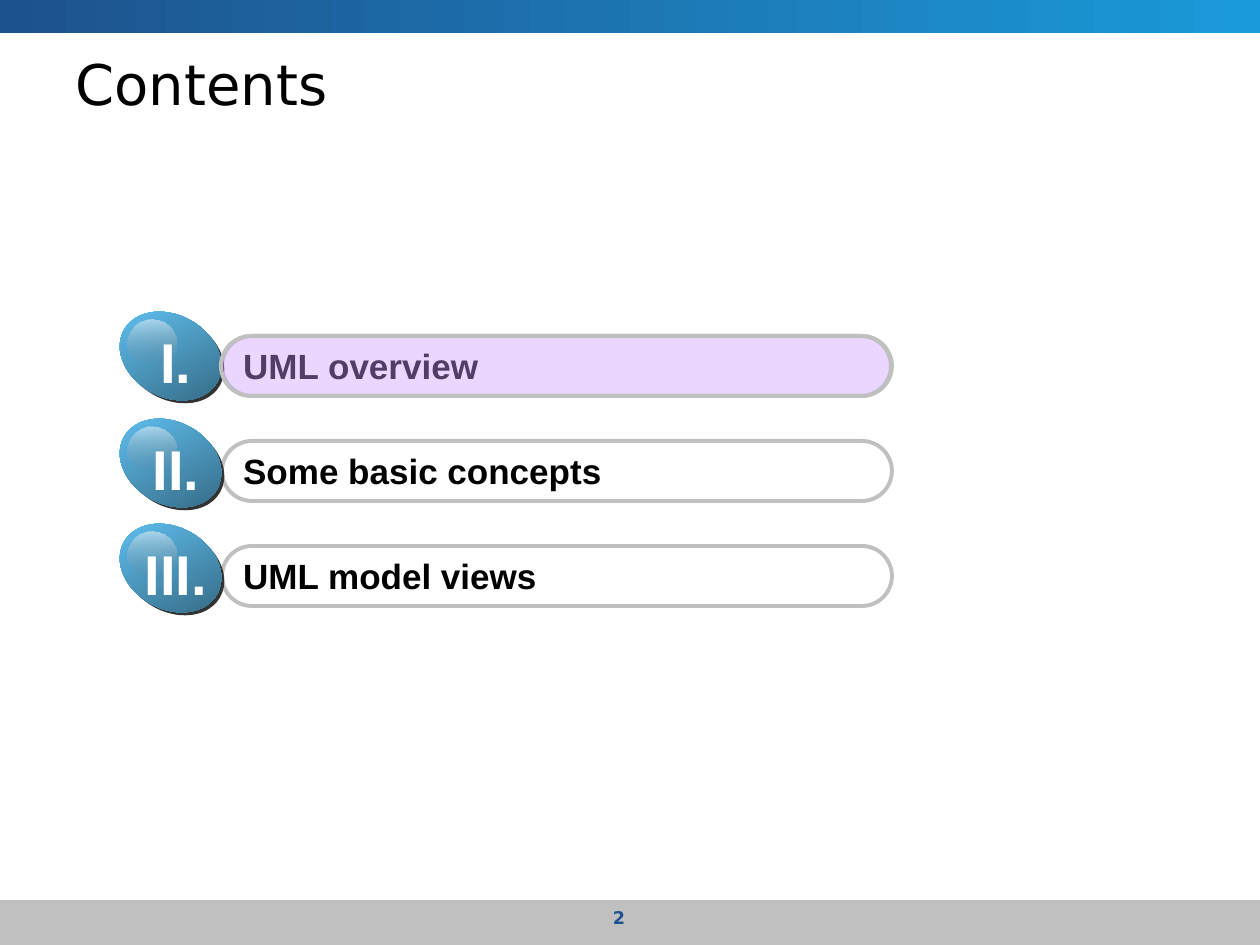
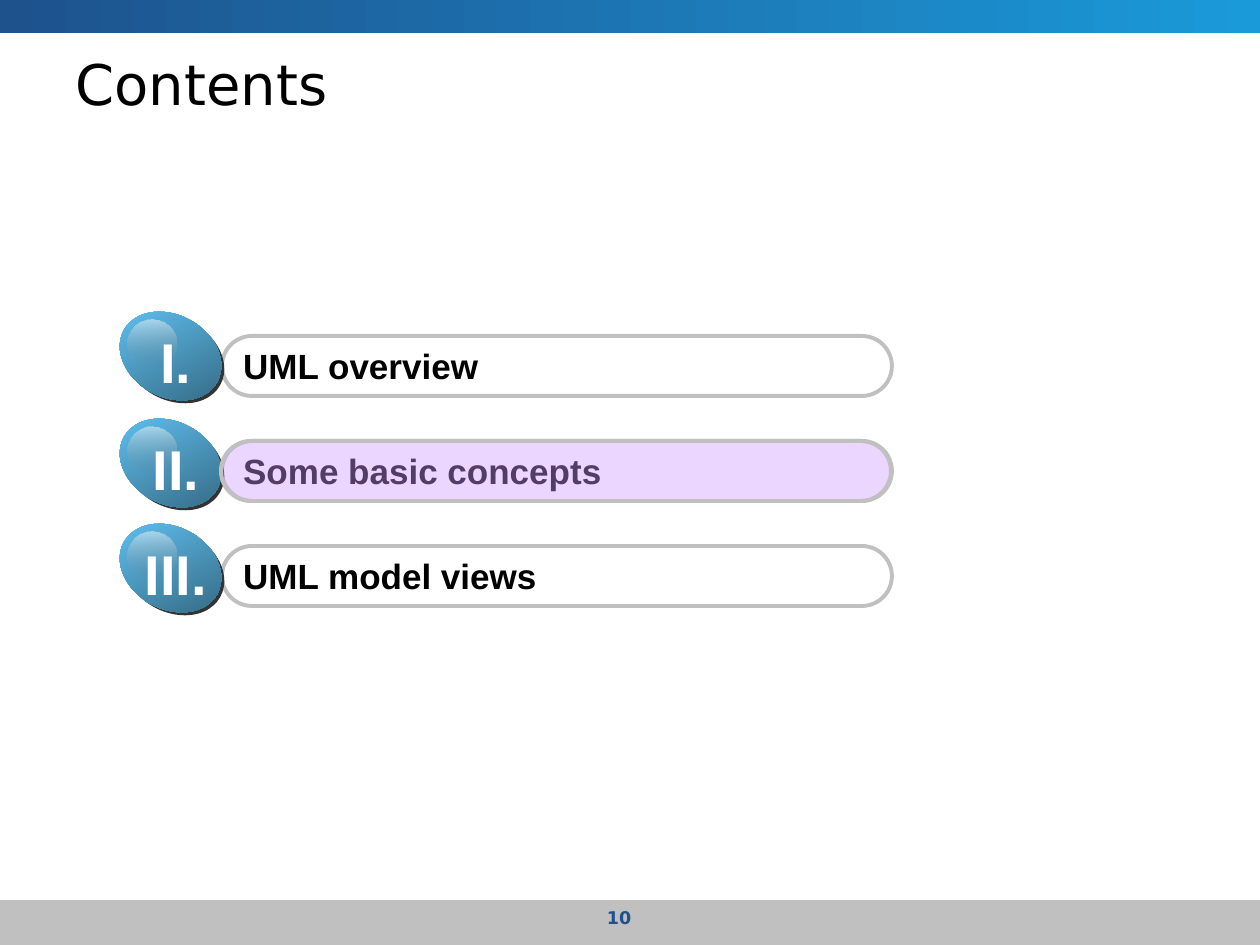
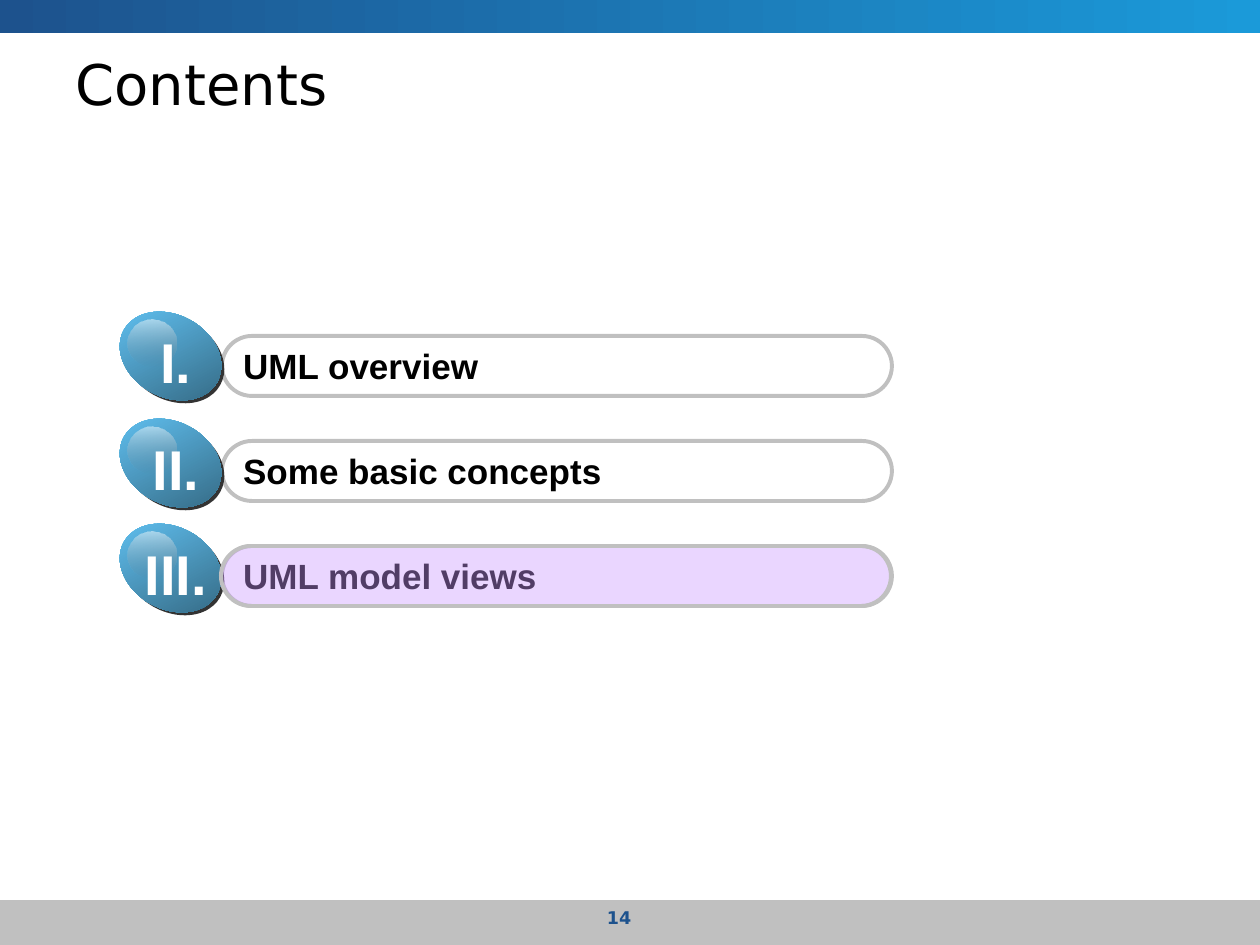
from lxml import etree
from pptx import Presentation
from pptx.dml.color import RGBColor
from pptx.enum.shapes import MSO_SHAPE
from pptx.enum.text import MSO_ANCHOR, MSO_AUTO_SIZE, PP_ALIGN
from pptx.oxml.ns import qn
from pptx.util import Pt

RECTANGLE = MSO_SHAPE.RECTANGLE
ELLIPSE = MSO_SHAPE.OVAL
PILL = MSO_SHAPE.ROUNDED_RECTANGLE
LEFT, CENTER = PP_ALIGN.LEFT, PP_ALIGN.CENTER
TOP, MIDDLE = MSO_ANCHOR.TOP, MSO_ANCHOR.MIDDLE

PX = 914400 / 126
TITLE_FONT, BODY_FONT = "DejaVu Sans", "Arial"
COLORS = {
    "black": "000000",
    "white": "FFFFFF",
    "gray": "C0C0C0",
    "navy": "1D528D",
    "azure": "1B9AD9",
    "badge shadow": "333333",
    "badge light": "66CCFF",
    "badge dark": "2F5E76",
    "gloss end": "767676",
    "highlight": "CC99FF",
}

# numeral, label, top of bar, top of badge
SECTIONS = [
    ("I.", "UML overview", 336, 315),
    ("II.", "Some basic concepts", 441, 422),
    ("III.", "UML model views", 546, 527),
]
PAGE_NUMBERS = [2, 10, 14]


def add_shape(shapes, kind, box, colors=(), angle=0, alphas=(), outline=None):
    """Add a shape with no fill, one colour or a two-colour gradient; angle is clockwise."""
    shape = shapes.add_shape(kind, *[round(length * PX) for length in box])
    shape.shadow.inherit = False
    fill = shape.fill
    if len(colors) == 2:
        fill.gradient()
        fill.gradient_angle = -angle % 360
        shape._element.spPr.find(qn("a:gradFill")).set("rotWithShape", "0")
        for stop, color in zip(fill.gradient_stops, colors):
            stop.color.rgb = RGBColor.from_string(COLORS[color])
    elif colors:
        fill.solid()
        fill.fore_color.rgb = RGBColor.from_string(COLORS[colors[0]])
    else:
        fill.background()
    for color, alpha in zip(shape._element.spPr.iter(qn("a:srgbClr")), alphas):
        etree.SubElement(color, qn("a:alpha")).set("val", str(alpha * 1000))
    if outline:
        shape.line.color.rgb = RGBColor.from_string(COLORS[outline])
        shape.line.width = Pt(2.25)
    else:
        shape.line.fill.background()
    if kind == PILL:
        shape.adjustments[0] = 0.5
    return shape


def set_text(shape, text, size, font, color, bold=True, align=LEFT, anchor=MIDDLE, wrap=False):
    frame = shape.text_frame
    frame.text = text
    frame.auto_size = MSO_AUTO_SIZE.NONE
    frame.word_wrap = wrap
    frame.vertical_anchor = anchor
    paragraph = frame.paragraphs[0]
    paragraph.alignment = align
    span = paragraph.runs[0].font
    span.size, span.name, span.bold = Pt(size), font, bold
    span.color.rgb = RGBColor.from_string(COLORS[color])


deck = Presentation()
deck.slide_width, deck.slide_height = round(1260 * PX), round(945 * PX)
title_only = deck.slide_layouts[5]
pages = [deck.slides.add_slide(title_only) for _ in PAGE_NUMBERS]

# The bands belong to the master, behind its placeholders
footer_band = add_shape(pages[0].shapes, RECTANGLE, (0, 900, 1260, 45), ["gray"])
header_band = add_shape(pages[0].shapes, RECTANGLE, (0, 0, 1260, 33), ["navy", "azure"])
for band in (header_band, footer_band):
    deck.slide_master.shapes._spTree.insert(2, band._element)

for current, (page, number) in enumerate(zip(pages, PAGE_NUMBERS)):
    title = page.shapes.title
    title.left, title.top, title.width, title.height = [
        round(length * PX) for length in (63, 44, 1134, 78)
    ]
    set_text(title, "Contents", 32, TITLE_FONT, "black", bold=False, wrap=True)

    number_box = page.shapes.add_textbox(*[round(length * PX) for length in (472, 901, 294, 35)])
    set_text(number_box, str(number), 10, TITLE_FONT, "navy", align=CENTER, anchor=TOP, wrap=True)

    for numeral, label, bar_top, badge_top in SECTIONS:
        bar = add_shape(page.shapes, PILL, (222, bar_top, 670, 60), outline="gray")
        set_text(bar, label, 20, BODY_FONT, "black")

    for numeral, label, bar_top, badge_top in SECTIONS:
        badge = page.shapes.add_group_shape().shapes
        shadow = add_shape(badge, ELLIPSE, (120, badge_top + 3, 107, 82), ["badge shadow"])
        face = add_shape(badge, ELLIPSE, (117, badge_top, 107, 82),
                         ["badge light", "badge dark"], angle=61)
        shadow.rotation = face.rotation = 29.3
        add_shape(badge, ELLIPSE, (128, badge_top + 5, 48, 47),
                  ["white", "gloss end"], angle=90, alphas=[50, 0])
        numeral_box = badge.add_textbox(
            *[round(length * PX) for length in (132, badge_top + 6, 88, 81)])
        set_text(numeral_box, numeral, 32, BODY_FONT, "white", align=CENTER, anchor=TOP)

    add_shape(page.shapes, PILL, (221, SECTIONS[current][2], 670, 60),
              ["highlight"], alphas=[40], outline="gray")

deck.save("out.pptx")
